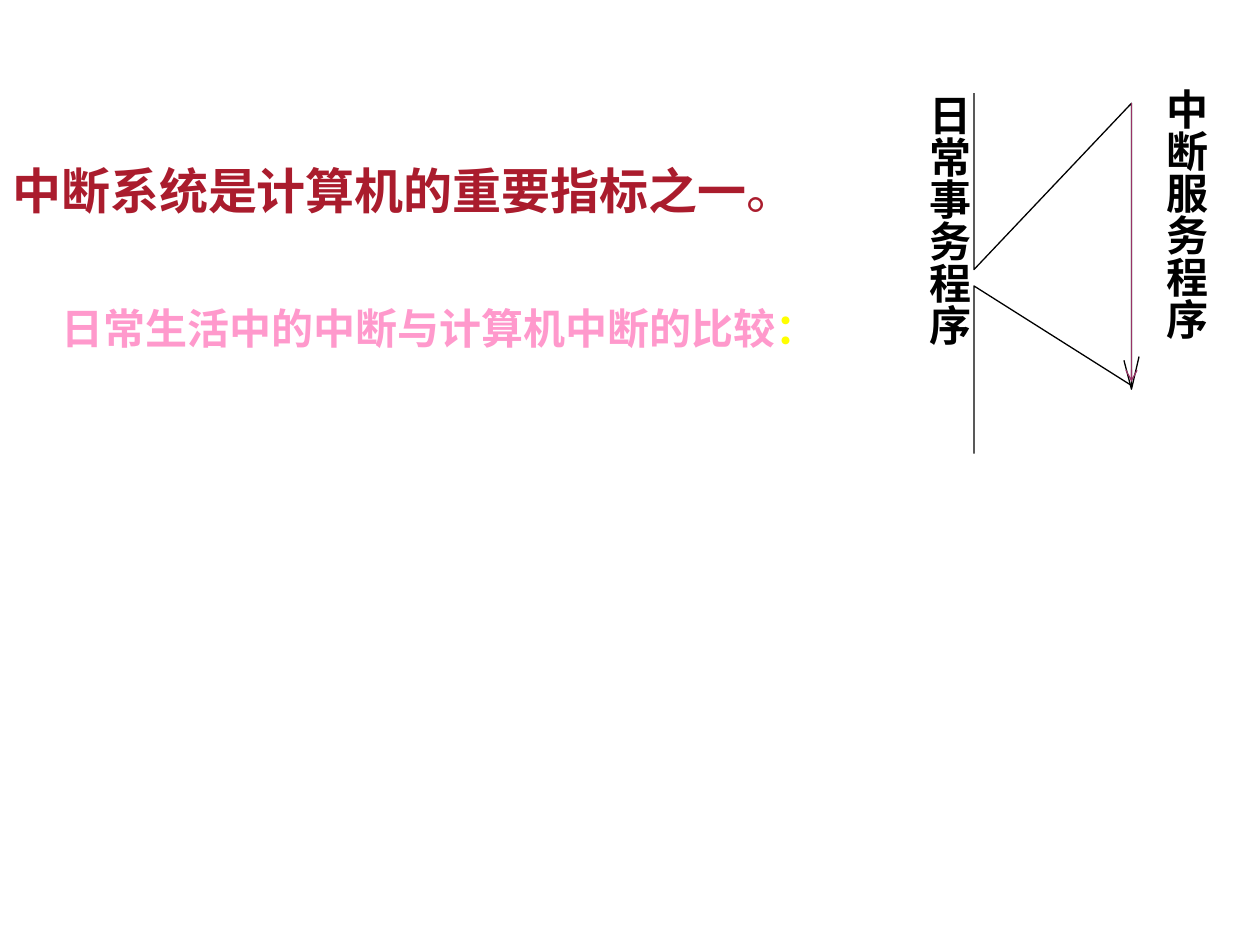
import pptx
import pptx.util
import pptx.dml.color
import pptx.enum.shapes
import pptx.enum.text
import lxml.etree
from dataclasses import dataclass

Inches = pptx.util.Inches


@dataclass(frozen=True)
class Theme:
    sans: str = "Noto Sans CJK SC"
    serif: str = "Times New Roman"
    head: int = 28
    body: int = 24
    line: float = 0.75
    red: str = "AA1C2D"
    pink: str = "FF99CC"
    gold: str = "FFFF00"
    ink: str = "000000"
    plum: str = "993366"


T = Theme()

# box, font, size, line spacing, runs of (text, colour, bold)
TEXTS = [
    ((0, 1.13, 6.97, 0.7), T.sans, T.head, 1.2,
     [("中断系统是计算机的重要指标之一", T.red, True), ("。", T.red, False)]),
    ((0.39, 2.35, 6.34, 0.5), T.serif, T.body, 1.0,
     [("日常生活中的中断与计算机中断的比较", T.pink, True), ("：", T.gold, True)]),
]
LABELS = [
    ((7.12, 0.75, 0.65, 2.45), "日常事务程序"),
    ((8.98, 0.7, 0.67, 2.66), "中断服务程序"),
]
MAIN, SERVE = 7.73, 8.98
FLOW = [(MAIN, 0.74), (MAIN, 2.14), (SERVE, 0.82),
        (SERVE, 3.06), (MAIN, 2.27), (MAIN, 3.6)]
TIP = [(8.92, 2.86), (SERVE, 3.09), (9.04, 2.83)]
ARROW = [(SERVE, 0.82), (SERVE, 3.03)]


def rgb(code):
    return pptx.dml.color.RGBColor.from_string(code)


def ink_line(line, color):
    line.color.rgb = rgb(color)
    line.width = pptx.util.Pt(T.line)


def add_text(slide, box, font, size, gap, runs, upright=False):
    frame = slide.shapes.add_textbox(*map(Inches, box)).text_frame
    frame.word_wrap = True
    par = frame.paragraphs[0]
    par.line_spacing = gap
    if upright:
        frame._txBody.bodyPr.set("vert", "eaVert")
        frame.margin_left = frame.margin_right = 0
        frame.margin_top = frame.margin_bottom = 0
        par.alignment = pptx.enum.text.PP_ALIGN.CENTER
    par.font.name = font
    par.font.size = pptx.util.Pt(size)
    for words, color, bold in runs:
        run = par.add_run()
        run.text = words
        run.font.bold = bold
        run.font.color.rgb = rgb(color)


def add_path(slide, points):
    spots = [(Inches(x), Inches(y)) for x, y in points]
    pen = slide.shapes.build_freeform(*spots[0])
    pen.add_line_segments(spots[1:], close=False)
    shape = pen.convert_to_shape()
    shape.shadow.inherit = False
    shape.fill.background()
    ink_line(shape.line, T.ink)


def add_arrow(slide, start, end):
    arrow = slide.shapes.add_connector(
        pptx.enum.shapes.MSO_CONNECTOR.STRAIGHT, *map(Inches, start + end))
    ink_line(arrow.line, T.plum)
    space = pptx.oxml.ns.qn
    props = arrow._element.spPr
    lxml.etree.SubElement(props.find(space("a:ln")), space("a:tailEnd"),
                          type="arrow")
    lxml.etree.SubElement(props, space("a:effectLst"))


def main():
    deck = pptx.Presentation()
    deck.slide_width, deck.slide_height = Inches(10), Inches(7.5)
    slide = deck.slides.add_slide(deck.slide_layouts[6])
    add_path(slide, FLOW)
    for box, words in LABELS:
        add_text(slide, box, T.serif, T.body, 1.1,
                 [(words, T.ink, True)], upright=True)
    add_path(slide, TIP)
    add_arrow(slide, *ARROW)
    for text in TEXTS:
        add_text(slide, *text)
    deck.save("out.pptx")


if __name__ == "__main__":
    main()
